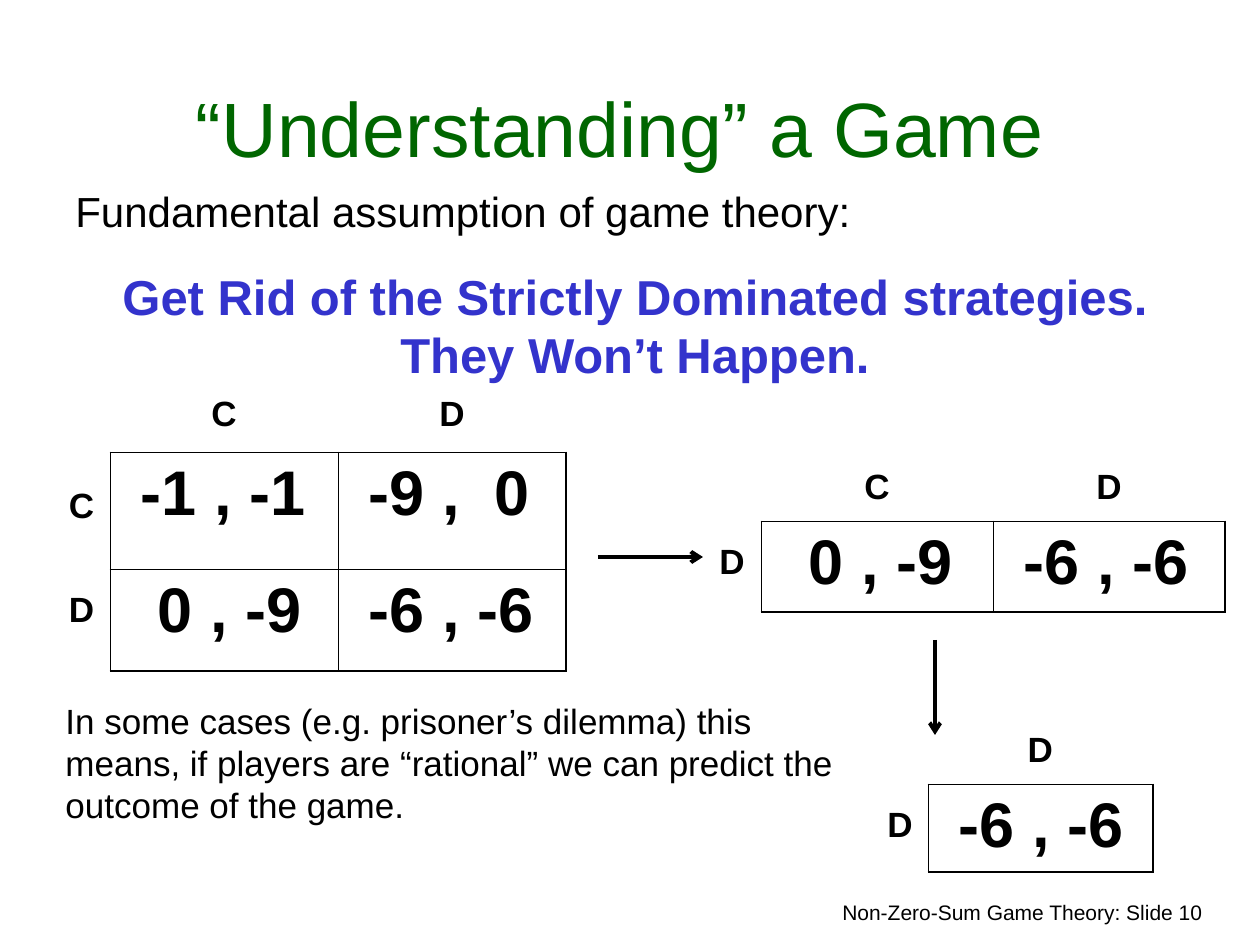
from lxml import etree
from pptx import Presentation
from pptx.dml.color import RGBColor
from pptx.enum.shapes import MSO_CONNECTOR
from pptx.enum.text import MSO_ANCHOR, PP_ALIGN
from pptx.oxml.ns import qn
from pptx.util import Pt

SCALE = 914400 / 126
BLACK = RGBColor(0x00, 0x00, 0x00)
GREEN = RGBColor(0x00, 0x66, 0x00)
BLUE = RGBColor(0x33, 0x33, 0xCC)
LEFT, CENTER, RIGHT = PP_ALIGN.LEFT, PP_ALIGN.CENTER, PP_ALIGN.RIGHT
TOP, BOTTOM = MSO_ANCHOR.TOP, MSO_ANCHOR.BOTTOM
STRAIGHT = MSO_CONNECTOR.STRAIGHT
THIN, THICK = 0.45, 1.08


def px(*lengths):
    return [round(length * SCALE) for length in lengths]


def write(paragraph, text, size, color=BLACK, bold=False, align=LEFT, before=0):
    paragraph.alignment = align
    paragraph.space_before = Pt(before)
    run = paragraph.add_run()
    run.text = text
    for name, value in {"name": "Arial", "size": Pt(size), "bold": bold}.items():
        setattr(run.font, name, value)
    run.font.color.rgb = color


presentation = Presentation()
presentation.slide_width, presentation.slide_height = px(1260, 945)
slide = presentation.slides.add_slide(presentation.slide_layouts[6])

# Text boxes: position, anchor, paragraphs
text_boxes = [
    ((721, 893, 494, 38), TOP, [
        dict(text="Non-Zero-Sum Game Theory: Slide 10", size=12, align=RIGHT)]),
    ((32, 32, 1176, 147), BOTTOM, [
        dict(text="“Understanding” a Game", size=44, color=GREEN, align=CENTER)]),
    ((53, 693, 798, 139), TOP, [
        dict(text="In some cases (e.g. prisoner’s dilemma) this means, if players "
                  "are “rational” we can predict the outcome of the game.", size=20)]),
    ((63, 179, 1144, 212), TOP, [
        dict(text="Fundamental assumption of game theory:", size=24),
        dict(text="Get Rid of the Strictly Dominated strategies. They Won’t Happen.",
             size=28, color=BLUE, bold=True, align=CENTER, before=17.5)]),
]
for position, anchor, paragraphs in text_boxes:
    frame = slide.shapes.add_textbox(*px(*position)).text_frame
    frame.word_wrap = True
    frame.vertical_anchor = anchor
    for index, content in enumerate(paragraphs):
        paragraph = frame.add_paragraph() if index else frame.paragraphs[0]
        write(paragraph, **content)

# Payoff tables: corner, column widths, row heights, strategies, payoffs
games = [
    ((703, 462), (58, 232, 232), (59, 91), "CD", {"D": ["0 , -9", "-6 , -6"]}),
    ((53, 388), (57, 228, 228), (64, 117, 102), "CD",
     {"C": ["-1 , -1", "-9 ,  0"], "D": ["0 , -9", "-6 , -6"]}),
    ((872, 725), (56, 225), (59, 88), "D", {"D": ["-6 , -6"]}),
]
LABEL_TOP = {"C": 35, "D": 22}
for corner, widths, heights, strategies, payoffs in games:
    frame = slide.shapes.add_table(len(heights), len(widths),
                                   *px(*corner, sum(widths), sum(heights)))
    table = frame.table
    table.first_row = table.horz_banding = False
    for column, width in zip(table.columns, px(*widths)):
        column.width = width
    for row, height in zip(table.rows, px(*heights)):
        row.height = height

    rows = [["", *strategies]] + [[name, *values] for name, values in payoffs.items()]
    last_row, last_column = len(rows) - 1, len(widths) - 1
    for r, values in enumerate(rows):
        for c, text in enumerate(values):
            cell = table.cell(r, c)
            cell.fill.background()
            is_payoff = r > 0 and c > 0
            if is_payoff:
                # Payoffs without a leading minus sign sit further in
                indent = 18 if text.startswith("-") else 35
                cell.margin_left, cell.margin_right = px(13 + indent, 0)
                write(cell.text_frame.paragraphs[0], text, 36, bold=True)
            elif text:
                if c == 0:
                    cell.margin_top = px(LABEL_TOP[text])[0]
                write(cell.text_frame.paragraphs[0], text, 20, bold=True, align=CENTER)

            borders = {
                "a:lnL": THIN if is_payoff else 0,
                "a:lnR": (THICK if c == last_column else THIN) if is_payoff
                         else THIN if r > 0 else 0,
                "a:lnT": THIN if is_payoff else 0,
                "a:lnB": (THICK if r == last_row else THIN) if is_payoff
                         else THIN if r == 0 and c > 0 else 0,
            }
            properties = cell._tc.get_or_add_tcPr()
            for index, (tag, width) in enumerate(borders.items()):
                line = etree.Element(qn(tag), w=str(Pt(width)))
                if width:
                    fill = etree.SubElement(line, qn("a:solidFill"))
                    etree.SubElement(fill, qn("a:srgbClr"), val=str(BLACK))
                else:
                    etree.SubElement(line, qn("a:noFill"))
                properties.insert(index, line)

# Arrows between the reduced games
for ends in [(598, 557, 703, 557), (935, 640, 935, 735)]:
    arrow = slide.shapes.add_connector(STRAIGHT, *px(*ends))
    arrow.line.color.rgb = BLACK
    arrow.line.width = Pt(2.25)
    etree.SubElement(arrow.line._get_or_add_ln(), qn("a:tailEnd"), type="arrow")
    etree.SubElement(arrow._element.spPr, qn("a:effectLst"))

presentation.save("out.pptx")
